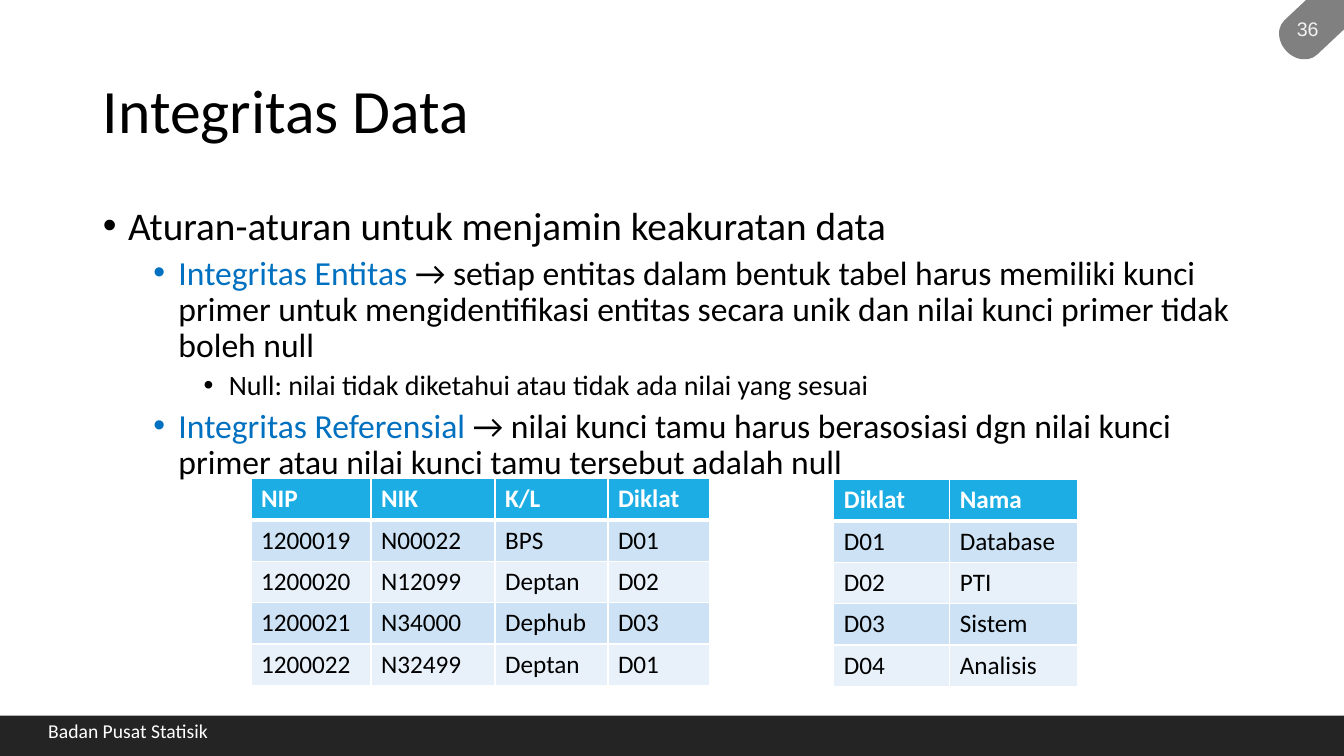
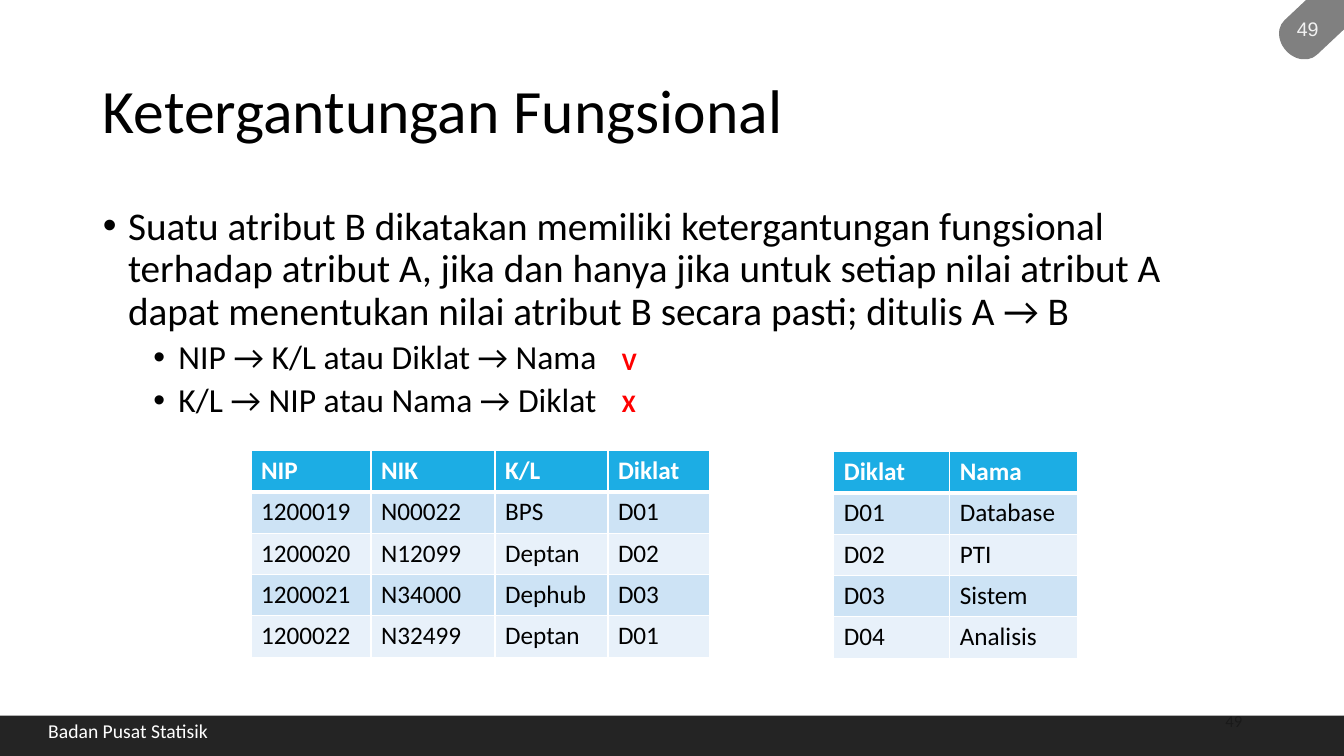
from lxml.etree import SubElement
from pptx import Presentation
from pptx.dml.color import RGBColor
from pptx.enum.shapes import MSO_SHAPE
from pptx.enum.text import MSO_ANCHOR, MSO_AUTO_SIZE, PP_ALIGN
from pptx.oxml.ns import qn
from pptx.util import Inches, Pt

COLORS = {
    "text": "000000", "white": "FFFFFF", "accent": "0070C0", "mark": "FF0000",
    "header": "1CADE4", "odd_row": "CDE3F5", "even_row": "E8F1FA",
    "band": "0D0D0D", "tab": "808080", "tab_text": "F2F2F2", "faint": "8C8C8C",
}
LEVEL_SIZES = (28, 24, 20)
ROW_HEIGHT = 0.41
EMPLOYEES = [
    ("NIP", "NIK", "K/L", "Diklat"),
    ("1200019", "N00022", "BPS", "D01"),
    ("1200020", "N12099", "Deptan", "D02"),
    ("1200021", "N34000", "Dephub", "D03"),
    ("1200022", "N32499", "Deptan", "D01"),
]
COURSES = [
    ("Diklat", "Nama"),
    ("D01", "Database"),
    ("D02", "PTI"),
    ("D03", "Sistem"),
    ("D04", "Analisis"),
]


def rgb(name):
    """Return the named palette colour."""
    return RGBColor.from_string(COLORS[name])


def add_run(paragraph, text, size=18, color="text", bold=False, font="Calibri"):
    """Append one formatted run to a paragraph."""
    run = paragraph.add_run()
    run.text = text
    run.font.name = font
    run.font.size = Pt(size)
    run.font.bold = bold
    run.font.color.rgb = rgb(color)


def place(shape, left, top, width, height):
    """Move and size a shape, in inches."""
    shape.left, shape.top = Inches(left), Inches(top)
    shape.width, shape.height = Inches(width), Inches(height)


class Deck:
    """Hold the presentation style and the current slide."""

    def __init__(self):
        """Start a widescreen presentation."""
        self.presentation = Presentation()
        self.presentation.slide_width = Inches(13.33)
        self.presentation.slide_height = Inches(7.5)
        self.slide = None

    def add_slide(self, title):
        """Start a slide with its title."""
        self.slide = self.presentation.slides.add_slide(self.presentation.slide_layouts[1])
        shape = self.slide.shapes.title
        place(shape, 0.92, 0.4, 11.5, 1.45)
        frame = shape.text_frame
        frame.auto_size = MSO_AUTO_SIZE.NONE
        frame.vertical_anchor = MSO_ANCHOR.MIDDLE
        paragraph = frame.paragraphs[0]
        paragraph.alignment = PP_ALIGN.LEFT
        paragraph.line_spacing = 0.9
        add_run(paragraph, title, size=44)

    def add_bullets(self, items):
        """Fill the body with (level, lead, text) items."""
        shape = self.slide.placeholders[1]
        place(shape, 0.92, 2, 11.5, 4.76)
        frame = shape.text_frame
        frame.auto_size = MSO_AUTO_SIZE.NONE
        for index, (level, lead, text) in enumerate(items):
            paragraph = frame.add_paragraph() if index else frame.paragraphs[0]
            properties = paragraph._p.get_or_add_pPr()
            properties.set("marL", str(Inches(0.25 + 0.5 * level)))
            properties.set("indent", str(Inches(-0.25)))
            SubElement(properties, qn("a:buFont"), typeface="Arial")
            SubElement(properties, qn("a:buChar"), char="•")
            paragraph.level = level
            paragraph.line_spacing = 0.9
            paragraph.space_before = Pt(5 if index else 0)
            if lead:
                add_run(paragraph, lead, size=LEVEL_SIZES[level], color="accent")
            add_run(paragraph, text, size=LEVEL_SIZES[level])

    def add_label(self, text, left, top, width, height, wrap=False,
                  alignment=PP_ALIGN.LEFT, anchor=MSO_ANCHOR.TOP, spacing=1.0, **style):
        """Add a single-line text box."""
        box = self.slide.shapes.add_textbox(
            Inches(left), Inches(top), Inches(width), Inches(height))
        box.text_frame.word_wrap = wrap
        box.text_frame.vertical_anchor = anchor
        paragraph = box.text_frame.paragraphs[0]
        paragraph.alignment = alignment
        paragraph.line_spacing = spacing
        add_run(paragraph, text, **style)

    def add_shape(self, kind, left, top, width, height, color):
        """Add a plain filled shape without outline."""
        shape = self.slide.shapes.add_shape(
            kind, Inches(left), Inches(top), Inches(width), Inches(height))
        shape.shadow.inherit = False
        shape.fill.solid()
        shape.fill.fore_color.rgb = rgb(color)
        shape.line.fill.background()
        return shape

    def add_cell(self, cell, text, row):
        """Write, border and fill one table cell."""
        header = row == 0
        add_run(cell.text_frame.paragraphs[0], text,
                color="white" if header else "text", bold=header)
        properties = cell._tc.get_or_add_tcPr()
        for side in "LRTB":
            thick = (header and side == "B") or (row == 1 and side == "T")
            line = SubElement(properties, qn(f"a:ln{side}"), w=str(Pt(3 if thick else 1)))
            fill = SubElement(line, qn("a:solidFill"))
            SubElement(fill, qn("a:srgbClr"), val=COLORS["white"])
        cell.fill.solid()
        cell.fill.fore_color.rgb = rgb(
            "header" if header else "odd_row" if row % 2 else "even_row")

    def add_table(self, rows, left, top, widths):
        """Add a table with a header row and banded data rows."""
        table = self.slide.shapes.add_table(
            len(rows), len(widths), Inches(left), Inches(top),
            Inches(sum(widths)), Inches(ROW_HEIGHT * len(rows))).table
        for column, width in zip(table.columns, widths):
            column.width = Inches(width)
        for row, values in enumerate(rows):
            table.rows[row].height = Inches(ROW_HEIGHT)
            for column, text in enumerate(values):
                self.add_cell(table.cell(row, column), text, row)

    def add_sample_tables(self, top):
        """Add the employee and course tables side by side."""
        self.add_table(EMPLOYEES, 2.49, top, (1.19, 1.23, 1.12, 1.01))
        self.add_table(COURSES, 8.27, top + 0.01, (1.15, 1.27))

    def add_frame(self, number):
        """Add the footer band and the page number tab."""
        band = self.add_shape(MSO_SHAPE.RECTANGLE, 0, 7.1, 13.33, 0.4, "band")
        color = band._element.spPr.find(qn("a:solidFill")).find(qn("a:srgbClr"))
        SubElement(color, qn("a:alpha"), val="90000")
        self.add_label("Badan Pusat Statisik", 0.38, 7.11, 1.81, 0.31,
                       spacing=0.9, size=14, color="white")
        tab = self.add_shape(
            MSO_SHAPE.FLOWCHART_STORED_DATA, 12.6, -0.13, 1.17, 0.47, "tab")
        tab.rotation = 316.8
        self.add_label(number, 12.74, 0.12, 0.46, 0.34, wrap=True,
                       alignment=PP_ALIGN.CENTER, size=14, color="tab_text", font="Arial")


def main():
    """Build and save both slides."""
    deck = Deck()

    deck.add_slide("Integritas Data")
    deck.add_bullets([
        (0, "", "Aturan-aturan untuk menjamin keakuratan data"),
        (1, "Integritas Entitas ",
         "→ setiap entitas dalam bentuk tabel harus memiliki kunci primer untuk "
         "mengidentifikasi entitas secara unik dan nilai kunci primer tidak boleh null"),
        (2, "", "Null: nilai tidak diketahui atau tidak ada nilai yang sesuai"),
        (1, "Integritas Referensial ",
         "→ nilai kunci tamu harus berasosiasi dgn nilai kunci primer atau nilai "
         "kunci tamu tersebut adalah null"),
    ])
    deck.add_sample_tables(4.75)
    deck.add_frame("36")

    deck.add_slide("Ketergantungan Fungsional")
    deck.add_label("49", 9.42, 6.95, 3, 0.4, wrap=True, alignment=PP_ALIGN.RIGHT,
                   anchor=MSO_ANCHOR.MIDDLE, size=12, color="faint")
    deck.add_bullets([
        (0, "", "Suatu atribut B dikatakan memiliki ketergantungan fungsional terhadap "
         "atribut A, jika dan hanya jika untuk setiap nilai atribut A dapat menentukan "
         "nilai atribut B secara pasti; ditulis A → B"),
        (1, "", "NIP → K/L atau Diklat → Nama"),
        (1, "", "K/L → NIP atau Nama → Diklat"),
    ])
    deck.add_sample_tables(4.47)
    for index, mark in enumerate("VX"):
        deck.add_label(mark, 6.07, 3.38 + 0.41 * index, 0.35, 0.4, color="mark", bold=True)
    deck.add_frame("49")

    deck.presentation.save("out.pptx")


if __name__ == "__main__":
    main()
